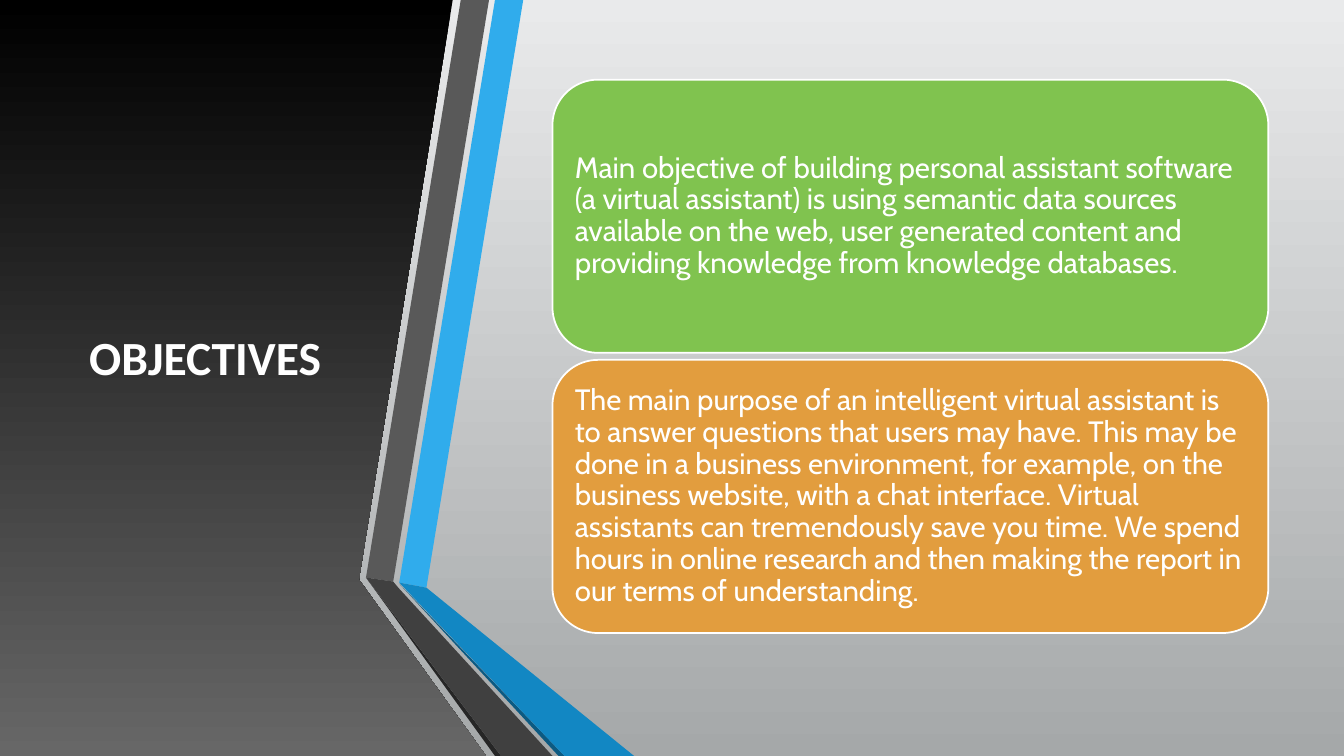
import pptx
import pptx.util
import pptx.dml.color
import pptx.enum.shapes
import pptx.enum.text

# Content
TITLE = "OBJECTIVES"
CARDS = [
    ("80C34F", "Main objective of building personal assistant software (a virtual "
     "assistant) is using semantic data sources available on the web, user generated "
     "content and providing knowledge from knowledge databases."),
    ("E29D3E", "The main purpose of an intelligent virtual assistant is to answer "
     "questions that users may have. This may be done in a business environment, for "
     "example, on the business website, with a chat interface. Virtual assistants can "
     "tremendously save you time. We spend hours in online research and then making "
     "the report in our terms of understanding."),
]

# Slide size and outlines, in inches
WIDE, HIGH = 13.33, 7.5
PANEL = [(0, 0), (4.49, 0), (3.56, 5.75), (4.82, HIGH), (0, HIGH)]
BANDS = [
    ("30ACEC", [(3.96, 5.78), (4.23, 5.83), (5.19, 0), (4.91, 0)]),
    ("595959", [(4.85, 0), (4.57, 0), (3.63, 5.73), (3.9, 5.77)]),
    ("262626", [(3.63, 5.73), (4.91, HIGH), (4.97, HIGH)]),
    ("0C5A82", [(3.96, 5.79), (5.54, HIGH), (5.6, HIGH)]),
    ("1287C3", [(3.96, 5.78), (5.6, HIGH), (6.29, HIGH), (4.23, 5.83)]),
    ("404040", [(5.48, HIGH), (3.95, 5.83), (3.9, 5.77), (3.63, 5.73), (4.97, HIGH)]),
]
LEFT, TOP, CARD_W, CARD_H, GAP = 5.48, 0.79, 7.1, 2.71, 0.07

inch = pptx.util.Inches
ALIGN = pptx.enum.text.PP_ALIGN


def rgb(code):
    return pptx.dml.color.RGBColor.from_string(code)


def fade(fill, *codes):
    """Blend two colours from top to bottom."""
    fill.gradient()
    fill.gradient_angle = 270
    for stop, code in zip(fill.gradient_stops, codes):
        stop.color.rgb = rgb(code)


def paint(shape, code):
    shape.fill.solid()
    shape.fill.fore_color.rgb = rgb(code)


def trace(dots):
    dots = [(inch(x), inch(y)) for x, y in dots]
    pen = slide.shapes.build_freeform(*dots[0])
    pen.add_line_segments(dots[1:], close=True)
    shape = pen.convert_to_shape()
    shape.shadow.inherit = False
    shape.line.fill.background()
    return shape


def write(shape, text, font, size, align, bold=False, space=1.0):
    frame = shape.text_frame
    frame.word_wrap = True
    frame.vertical_anchor = pptx.enum.text.MSO_ANCHOR.MIDDLE
    frame.margin_left = frame.margin_right = inch(0.09)
    frame.margin_top = frame.margin_bottom = inch(0.09)
    para = frame.paragraphs[0]
    para.alignment, para.line_spacing = align, space
    run = para.add_run()
    run.text = text
    run.font.name, run.font.size, run.font.bold = font, pptx.util.Pt(size), bold
    run.font.color.rgb = rgb("FFFFFF")


# Slide and background
deck = pptx.Presentation()
deck.slide_width, deck.slide_height = inch(WIDE), inch(HIGH)
slide = deck.slides.add_slide(deck.slide_layouts[6])
fade(slide.background.fill, "E9EAEB", "A5A8A9")

# Dark panel with title
fade(trace(PANEL).fill, "000000", "676767")
title = slide.shapes.add_textbox(inch(0.59), inch(0.75), inch(2.89), inch(5.58))
write(title, TITLE, "Calibri", 34, ALIGN.CENTER, bold=True)

# Folded ribbons
for code, dots in BANDS:
    paint(trace(dots), code)

# Cards
for row, (code, text) in enumerate(CARDS):
    card = slide.shapes.add_shape(
        pptx.enum.shapes.MSO_SHAPE.ROUNDED_RECTANGLE, inch(LEFT),
        inch(TOP + row * (CARD_H + GAP)), inch(CARD_W), inch(CARD_H))
    card.shadow.inherit = False
    paint(card, code)
    card.line.color.rgb = rgb("FFFFFF")
    card.line.width = pptx.util.Pt(1.25)
    write(card, text, "Cabin", 21, ALIGN.LEFT, space=0.9)

deck.save("out.pptx")
